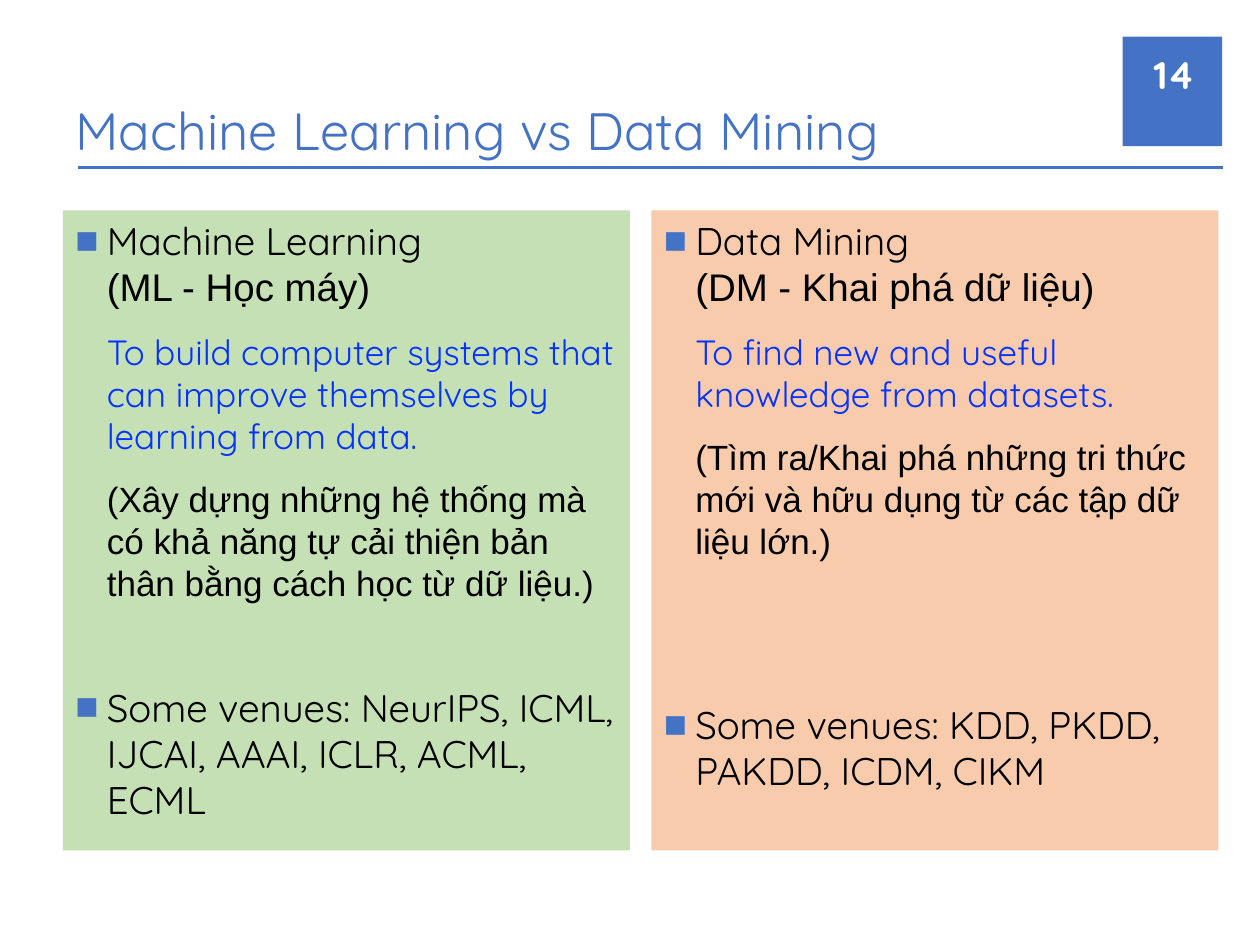
import pptx
import pptx.dml.color
import pptx.enum.shapes
import pptx.enum.text
import pptx.oxml
import pptx.oxml.ns
import pptx.util
from pptx.util import Inches, Pt

BLUE, BLACK, WHITE, VIVID = "4472C4", "000000", "FFFFFF", "0432FF"
ANCHOR = pptx.enum.text.MSO_ANCHOR


def rgb(value):
    return pptx.dml.color.RGBColor.from_string(value)


def add_run(p, text, size, color, name="Quicksand", bold=False):
    r = p.add_run()
    r.text = text
    r.font.color.rgb = rgb(color)
    for key, value in {"size": Pt(size), "name": name, "bold": bold}.items():
        setattr(r.font, key, value)


prs = pptx.Presentation()
prs.slide_width, prs.slide_height = Inches(10), Inches(7.5)
s = prs.slides.add_slide(prs.slide_layouts[6])

# Page number tab
sp = s.shapes.add_shape(pptx.enum.shapes.MSO_SHAPE.RECTANGLE,
                        Inches(8.91), Inches(0.29), Inches(0.79), Inches(0.87))
sp.shadow.inherit = False
sp.fill.solid()
sp.fill.fore_color.rgb = rgb(BLUE)
sp.line.fill.background()

# Title and page number
headings = [
    ("Machine Learning vs Data Mining", (0.5, 0.5, 9.25, 0.83), 30, BLUE, False,
     ANCHOR.BOTTOM, pptx.enum.text.PP_ALIGN.LEFT),
    ("14", (9.03, 0.39, 0.55, 0.4), 22, WHITE, True,
     ANCHOR.MIDDLE, pptx.enum.text.PP_ALIGN.RIGHT),
]
for text, box, size, color, bold, anchor, align in headings:
    tf = s.shapes.add_textbox(*map(Inches, box)).text_frame
    tf.word_wrap = True
    tf.vertical_anchor = anchor
    p = tf.paragraphs[0]
    p.alignment = align
    add_run(p, text, size, color, bold=bold)

# Rule under the title
rule = s.shapes.add_connector(pptx.enum.shapes.MSO_CONNECTOR.STRAIGHT,
                              Inches(0.62), Inches(1.33), Inches(9.71), Inches(1.33))
rule.line.color.rgb = rgb(BLUE)
rule.line.width = Pt(2)
rule._element.spPr.append(pptx.oxml.parse_xml(
    f"<a:effectLst {pptx.oxml.ns.nsdecls('a')}/>"))

# Panels: left, fill, topic, translated topic, goal, translated goal, venues, gap above venues
panels = [
    (0.5, "C5E0B4", "Machine Learning", "(ML - Học máy)",
     "To build computer systems that can improve themselves by learning from data.",
     "(Xây dựng những hệ thống mà có khả năng tự cải thiện bản thân bằng cách học từ dữ liệu.)",
     "Some venues: NeurIPS, ICML, IJCAI, AAAI, ICLR, ACML, ECML", 46),
    (5.17, "F8CBAD", "Data Mining", "(DM - Khai phá dữ liệu)",
     "To find new and useful knowledge from datasets.",
     "(Tìm ra/Khai phá những tri thức mới và hữu dụng từ các tập dữ liệu lớn.)",
     "Some venues: KDD, PKDD, PAKDD, ICDM, CIKM", 80),
]
indent = Inches(0.25)
for left, fill, topic, topic_vi, goal, goal_vi, venues, gap in panels:
    sp = s.shapes.add_textbox(Inches(left), Inches(1.67), Inches(4.5), Inches(5.08))
    sp.fill.solid()
    sp.fill.fore_color.rgb = rgb(fill)
    tf = sp.text_frame
    tf.word_wrap = True
    paragraphs = [
        # runs, size, bulleted, space before
        ([(topic, BLACK, "Quicksand"), (topic_vi, BLACK, "Arial")], 22, True, 0),
        ([(goal, VIVID, "Quicksand")], 20, False, 12),
        ([(goal_vi, BLACK, "Arial")], 20, False, 12),
        ([(venues, BLACK, "Quicksand")], 22, True, gap),
    ]
    for i, (runs, size, bulleted, before) in enumerate(paragraphs):
        p = tf.add_paragraph() if i else tf.paragraphs[0]
        p.space_before = Pt(before)
        p.line_spacing = Pt(1.2 * size)
        pPr = p._p.get_or_add_pPr()
        pPr.set("marL", str(indent))
        pPr.set("indent", str(-indent if bulleted else 0))
        if bulleted:
            ns = pptx.oxml.ns.nsdecls("a")
            for xml in (f'<a:buClr {ns}><a:srgbClr val="{BLUE}"/></a:buClr>',
                        f'<a:buFont {ns} typeface="Arial"/>',
                        f'<a:buChar {ns} char="■"/>'):
                pPr.append(pptx.oxml.parse_xml(xml))
        for j, (text, color, name) in enumerate(runs):
            if j:
                p.add_line_break()
            add_run(p, text, size, color, name)

prs.save("out.pptx")
